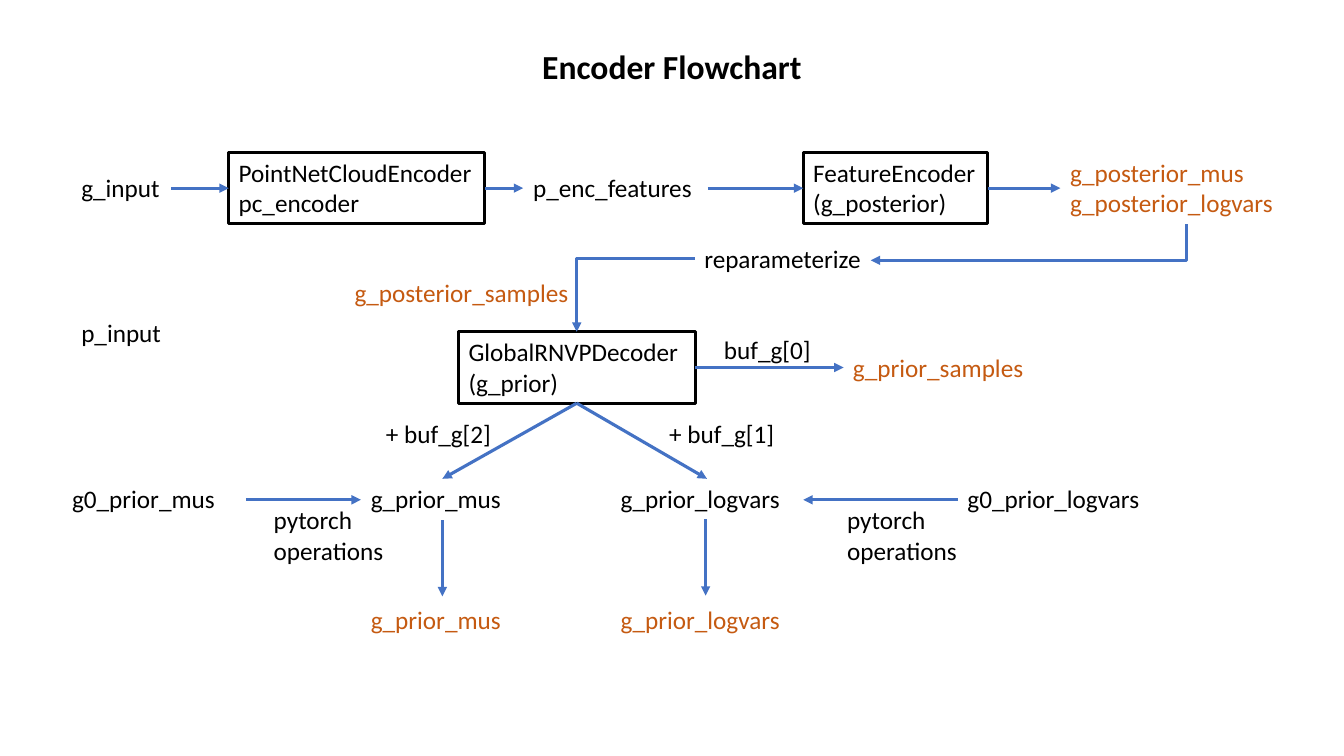
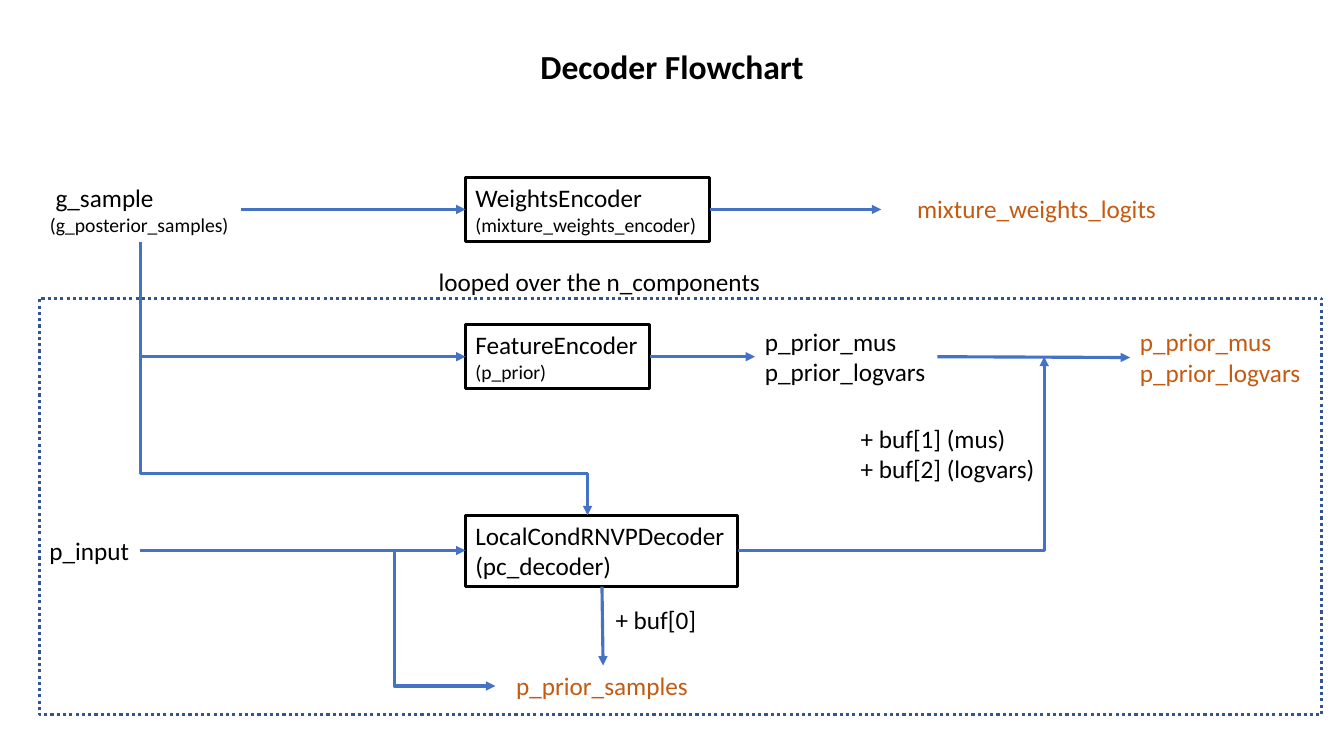
from lxml.etree import SubElement
from pptx import Presentation
from pptx.dml.color import RGBColor
from pptx.enum.dml import MSO_LINE
from pptx.enum.shapes import MSO_CONNECTOR as Connector, MSO_SHAPE as Preset
from pptx.enum.text import MSO_ANCHOR as Anchor, PP_ALIGN as Align
from pptx.oxml.ns import qn
from pptx.util import Pt

BLACK, WHITE, ORANGE, BLUE, NAVY = "000000", "FFFFFF", "C55A11", "4472C4", "325491"
STROKE = Pt(2.25)
TITLE_FONT = {"name": "Calibri", "size": Pt(24), "bold": True}
BODY_FONT = {"name": "Calibri", "size": Pt(18), "bold": False}
NOTE_FONT = BODY_FONT | {"size": Pt(14)}
TITLE_PLACE = {"left": Pt(60), "top": Pt(29.5), "width": Pt(840), "height": Pt(36)}
FRAME_FORMAT = {"word_wrap": True, "vertical_anchor": Anchor.TOP,
                "margin_left": Pt(7.2), "margin_right": Pt(7.2),
                "margin_top": Pt(3.6), "margin_bottom": Pt(3.6)}


def rgb(code):
    return RGBColor.from_string(code)


def write(frame, text, fonts, tone=BLACK, align=Align.LEFT):
    for key, value in FRAME_FORMAT.items():
        setattr(frame, key, value)
    for index, line in enumerate(text.split("\n")):
        paragraph = frame.add_paragraph() if index else frame.paragraphs[0]
        paragraph.alignment = align
        run = paragraph.add_run()
        run.text = line
        for key, value in fonts[index].items():
            setattr(run.font, key, value)
        run.font.color.rgb = rgb(tone)


PLAIN = (BODY_FONT, BODY_FONT)
NOTED = (BODY_FONT, NOTE_FONT)
TO_END, TO_START, NO_HEAD = "tailEnd", "headEnd", None
CORNER, STEP = "bentConnector2", "bentConnector3"

flowcharts = [
    {
        "title": "Encoder Flowchart",
        "modules": [
            (163.4, 108.9, 183, 51, "PointNetCloudEncoder\npc_encoder", PLAIN),
            (573.8, 108.9, 131.8, 51, "FeatureEncoder\n(g_posterior)", PLAIN),
            (327.6, 237, 169, 51, "GlobalRNVPDecoder\n(g_prior)", PLAIN),
        ],
        "labels": [
            (51, 223.2, 80, "p_input", PLAIN, BLACK),
            (51, 119.5, 80, "g_input", PLAIN, BLACK),
            (373.7, 119.5, 132, "p_enc_features", PLAIN, BLACK),
            (757.4, 108.9, 180, "g_posterior_mus\ng_posterior_logvars", PLAIN, ORANGE),
            (496, 170, 132, "reparameterize", PLAIN, BLACK),
            (246.2, 194.4, 183, "g_posterior_samples", PLAIN, ORANGE),
            (510, 235.4, 94, "buf_g[0]", PLAIN, BLACK),
            (602.2, 248, 217, "g_prior_samples", PLAIN, ORANGE),
            (268.6, 295.2, 119, "+ buf_g[2]", PLAIN, BLACK),
            (470.9, 295.2, 107, "+ buf_g[1]", PLAIN, BLACK),
            (44.4, 342, 132, "g0_prior_mus", PLAIN, BLACK),
            (257.8, 342, 117, "g_prior_mus", PLAIN, BLACK),
            (436.3, 342, 138, "g_prior_logvars", PLAIN, BLACK),
            (684, 342, 163, "g0_prior_logvars", PLAIN, BLACK),
            (188.4, 357, 96, "pytorch\noperations", PLAIN, BLACK),
            (598, 357, 96, "pytorch\noperations", PLAIN, BLACK),
            (257.8, 428.4, 117, "g_prior_mus", PLAIN, ORANGE),
            (436.3, 428.4, 138, "g_prior_logvars", PLAIN, ORANGE),
        ],
        "straights": [
            (122.4, 134.4, 163.4, 134.4, TO_END),
            (346.4, 134.4, 373.7, 134.4, TO_END),
            (505.6, 134.4, 573.8, 134.4, TO_END),
            (705.6, 134.4, 757.4, 134.4, TO_END),
            (496.4, 262.5, 602.6, 262.5, TO_END),
            (412, 288, 316, 342, TO_END),
            (412, 288, 505, 342, TO_END),
            (175.7, 357, 257.8, 357, TO_END),
            (684, 357, 573.8, 357, TO_END),
            (316, 371.5, 316, 426, TO_END),
            (504, 371, 504, 425.5, TO_END),
        ],
        "elbows": [
            (CORNER, 622, 186, 847.4, 160, TO_START),
            (CORNER, 496.4, 184.8, 412, 237, TO_END),
        ],
    },
    {
        "title": "Decoder Flowchart",
        "modules": [
            (332.5, 126.7, 174.5, 45.8, "WeightsEncoder\n(mixture_weights_encoder)", NOTED),
            (332.5, 231.8, 131.5, 45.8, "FeatureEncoder\n(p_prior)", NOTED),
            (332.5, 368, 194.5, 51, "LocalCondRNVPDecoder\n(pc_decoder)", PLAIN),
        ],
        "labels": [
            (28.6, 126.7, 150, " g_sample\n(g_posterior_samples)", NOTED, BLACK),
            (28.2, 378.9, 80, "p_input", PLAIN, BLACK),
            (539.3, 229.7, 138, "p_prior_mus\np_prior_logvars", PLAIN, BLACK),
            (648, 134.6, 195, "mixture_weights_logits", PLAIN, ORANGE),
            (607.7, 299, 148, "+ buf[1] (mus)\n+ buf[2] (logvars)", PLAIN, BLACK),
            (807.2, 229.9, 150, "p_prior_mus\np_prior_logvars", PLAIN, ORANGE),
            (432.6, 428.4, 80, "+ buf[0]", PLAIN, BLACK),
            (361.6, 475.4, 146, "p_prior_samples", PLAIN, ORANGE),
            (306.2, 186.8, 252, "looped over the n_components", PLAIN, BLACK),
        ],
        "straights": [
            (172, 149.6, 332.5, 149.6, TO_END),
            (507, 149.6, 629.5, 149.6, TO_END),
            (464, 254.8, 539.3, 254.8, TO_END),
            (669.6, 254.8, 807.2, 255.4, TO_END),
            (419.7, 338, 419.7, 368, TO_END),
            (100.2, 393.2, 332.5, 393.2, TO_END),
            (430, 419, 430.8, 475.4, TO_END),
        ],
        "elbows": [
            (CORNER, 332.5, 254.8, 100.2, 172.6, TO_START),
            (CORNER, 419.7, 338, 100.2, 172.6, NO_HEAD),
            (CORNER, 527, 393.2, 745.9, 254.8, TO_END),
            (STEP, 209.5, 393.2, 353.8, 490, TO_END),
        ],
    },
]

deck = Presentation()
deck.slide_width, deck.slide_height = Pt(960), Pt(540)

for flowchart in flowcharts:
    slide = deck.slides.add_slide(deck.slide_layouts[5])
    slide.background.fill.solid()
    slide.background.fill.fore_color.rgb = rgb(WHITE)
    heading = slide.shapes.title
    for key, value in TITLE_PLACE.items():
        setattr(heading, key, value)
    write(heading.text_frame, flowchart["title"], [TITLE_FONT], align=Align.CENTER)

    for x, y, width, height, text, fonts in flowchart["modules"]:
        module = slide.shapes.add_shape(Preset.RECTANGLE, Pt(x), Pt(y), Pt(width), Pt(height))
        module.shadow.inherit = False
        module.fill.background()
        module.line.color.rgb = rgb(BLACK)
        module.line.width = STROKE
        write(module.text_frame, text, fonts)

    for x, y, width, text, fonts, tone in flowchart["labels"]:
        height = 50.8 if "\n" in text else 29
        label = slide.shapes.add_textbox(Pt(x), Pt(y), Pt(width), Pt(height))
        write(label.text_frame, text, fonts, tone)

    routes = [("line", *straight) for straight in flowchart["straights"]]
    for bend, x1, y1, x2, y2, head in routes + flowchart["elbows"]:
        kind = Connector.STRAIGHT if bend == "line" else Connector.ELBOW
        arrow = slide.shapes.add_connector(kind, Pt(x1), Pt(y1), Pt(x2), Pt(y2))
        arrow.line.color.rgb = rgb(BLUE)
        arrow.line.width = STROKE
        properties = arrow._element.spPr
        properties.find(qn("a:prstGeom")).set("prst", bend)
        if head:
            SubElement(properties.find(qn("a:ln")), qn(f"a:{head}"), type="triangle")
        SubElement(properties, qn("a:effectLst"))

component_loop = slide.shapes.add_shape(Preset.RECTANGLE, Pt(28.2), Pt(213), Pt(916), Pt(297.5))
component_loop.shadow.inherit = False
component_loop.fill.background()
component_loop.line.color.rgb = rgb(NAVY)
component_loop.line.width = STROKE
component_loop.line.dash_style = MSO_LINE.ROUND_DOT

deck.save("out.pptx")
